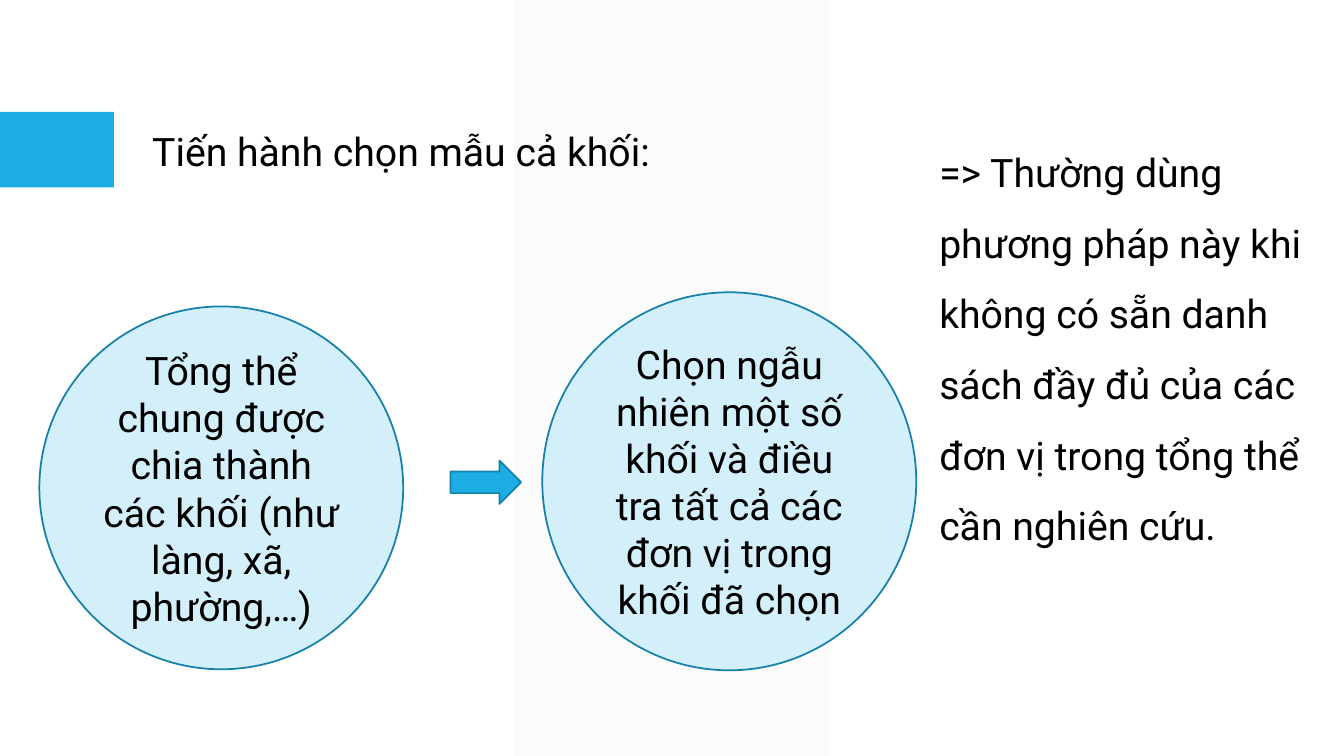
from lxml import etree
from pptx import Presentation
from pptx import util as u
from pptx.dml import color
from pptx.enum import shapes, text
from pptx.oxml import ns

ACCENT = "1CADE4"
OUTLINE = "1580A9"
PALE_BLUE = "D2EFFA"


def rgb(value):
    return color.RGBColor.from_string(value)


def format_text(shape, content, align, anchor, spacing=1.0):
    frame = shape.text_frame
    frame.text = content
    frame.word_wrap = True
    frame.vertical_anchor = anchor
    paragraph = frame.paragraphs[0]
    paragraph.alignment = align
    paragraph.line_spacing = spacing
    font = paragraph.runs[0].font
    font.name = "Roboto"
    font.size = u.Pt(28)
    font.color.rgb = rgb("000000")


def add_figure(slide, kind, box, fill, line=None):
    shape = slide.shapes.add_shape(kind, *map(u.Pt, box))
    shape.shadow.inherit = False
    shape.fill.solid()
    shape.fill.fore_color.rgb = rgb(fill)
    if line:
        shape.line.color.rgb = rgb(line)
        shape.line.width = u.Pt(1.25)
    else:
        shape.line.fill.background()
    return shape


def add_band(slide):
    band = add_figure(slide, shapes.MSO_SHAPE.PARALLELOGRAM, (367.2, 0, 224.64, 540), "F2F2F2")
    band.adjustments[0] = 0
    fill_color = band.element.spPr.find(ns.qn("a:solidFill"))[0]
    etree.SubElement(fill_color, ns.qn("a:alpha"), val="30000")


def place_title(slide, content, box):
    title = slide.shapes.title
    title.left, title.top, title.width, title.height = map(u.Pt, box)
    format_text(title, content, text.PP_ALIGN.LEFT, text.MSO_ANCHOR.TOP)
    title.text_frame.auto_size = text.MSO_AUTO_SIZE.SHAPE_TO_FIT_TEXT
    title.element.getparent().append(title.element)


def add_step(slide, content, box):
    circle = add_figure(slide, shapes.MSO_SHAPE.OVAL, box, PALE_BLUE, OUTLINE)
    format_text(circle, content, text.PP_ALIGN.CENTER, text.MSO_ANCHOR.MIDDLE)


def add_note(slide, content, box):
    note = slide.shapes.add_textbox(*map(u.Pt, box))
    format_text(note, content, text.PP_ALIGN.LEFT, text.MSO_ANCHOR.TOP, 1.5)
    note.text_frame.auto_size = text.MSO_AUTO_SIZE.SHAPE_TO_FIT_TEXT


def main():
    presentation = Presentation()
    presentation.slide_width = u.Pt(960)
    presentation.slide_height = u.Pt(540)
    slide = presentation.slides.add_slide(presentation.slide_layouts[5])

    add_band(slide)
    add_figure(slide, shapes.MSO_SHAPE.RECTANGLE, (0, 79.92, 81.36, 54), ACCENT)
    place_title(slide, "Tiến hành chọn mẫu cả khối:", (101.52, 87.12, 715.68, 41.04))
    add_step(slide, "Tổng thể chung được chia thành các khối (như làng, xã, phường,…)",
             (28.08, 218.88, 259.92, 259.2))
    add_step(slide, "Chọn ngẫu nhiên một số khối và điều tra tất cả các đơn vị trong khối đã chọn",
             (387.36, 208.8, 267.12, 270))
    add_figure(slide, shapes.MSO_SHAPE.RIGHT_ARROW, (321.84, 329.04, 50.4, 30.96), ACCENT, OUTLINE)
    add_note(slide, "=> Thường dùng phương pháp này khi không có sẵn danh sách đầy đủ "
             "của các đơn vị trong tổng thể cần nghiên cứu.", (663.84, 85.68, 292.32, 312.48))
    presentation.save("out.pptx")


if __name__ == "__main__":
    main()
